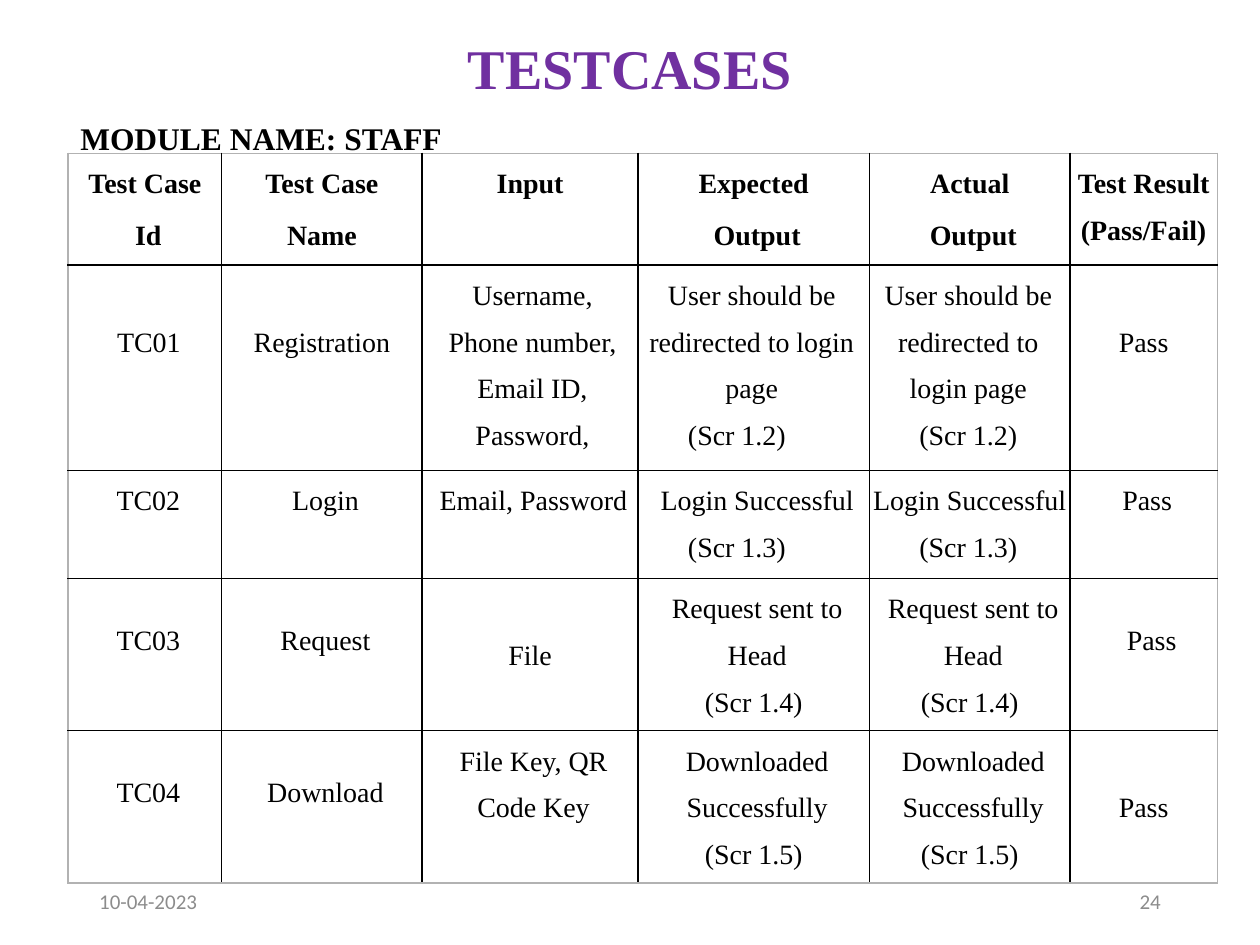
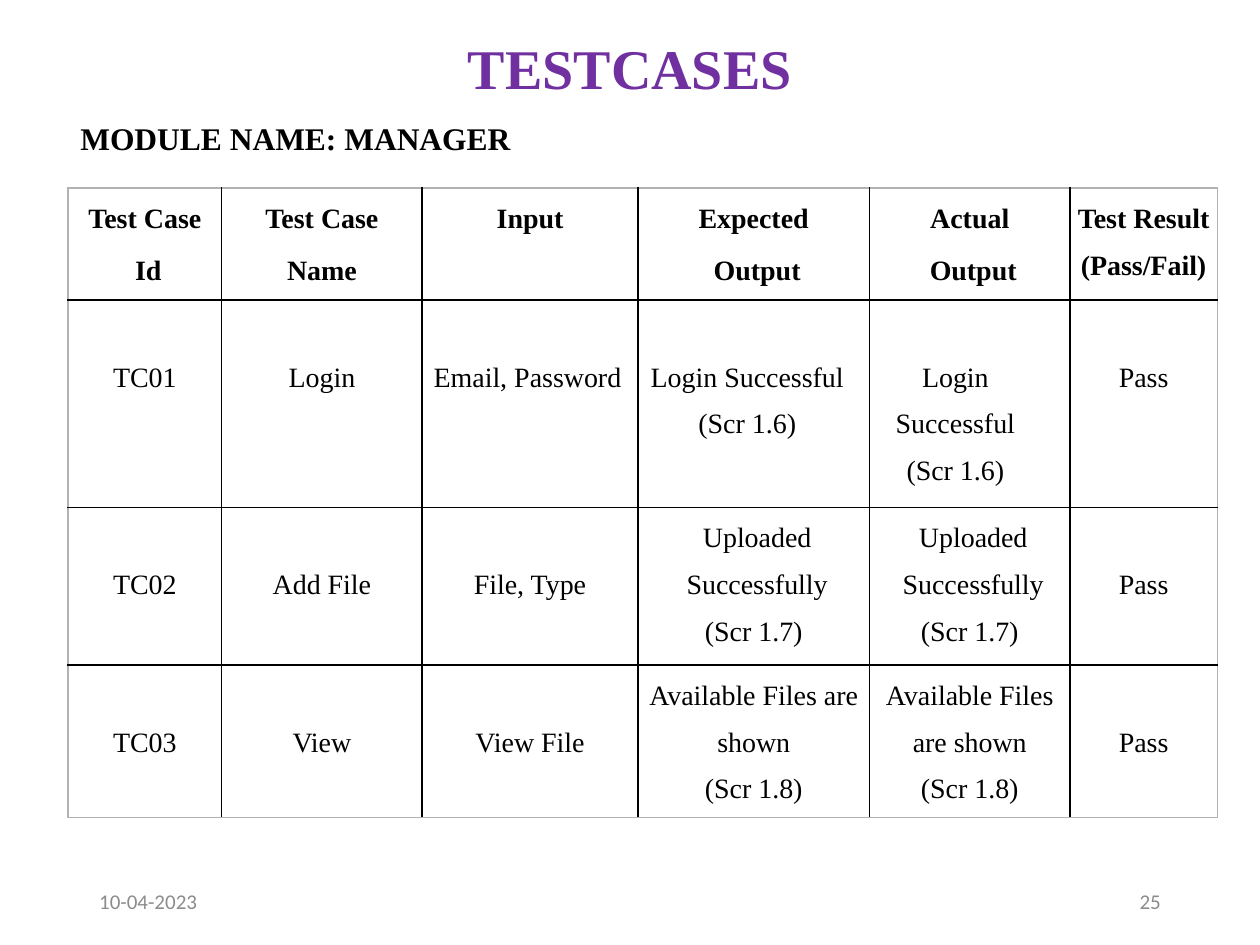
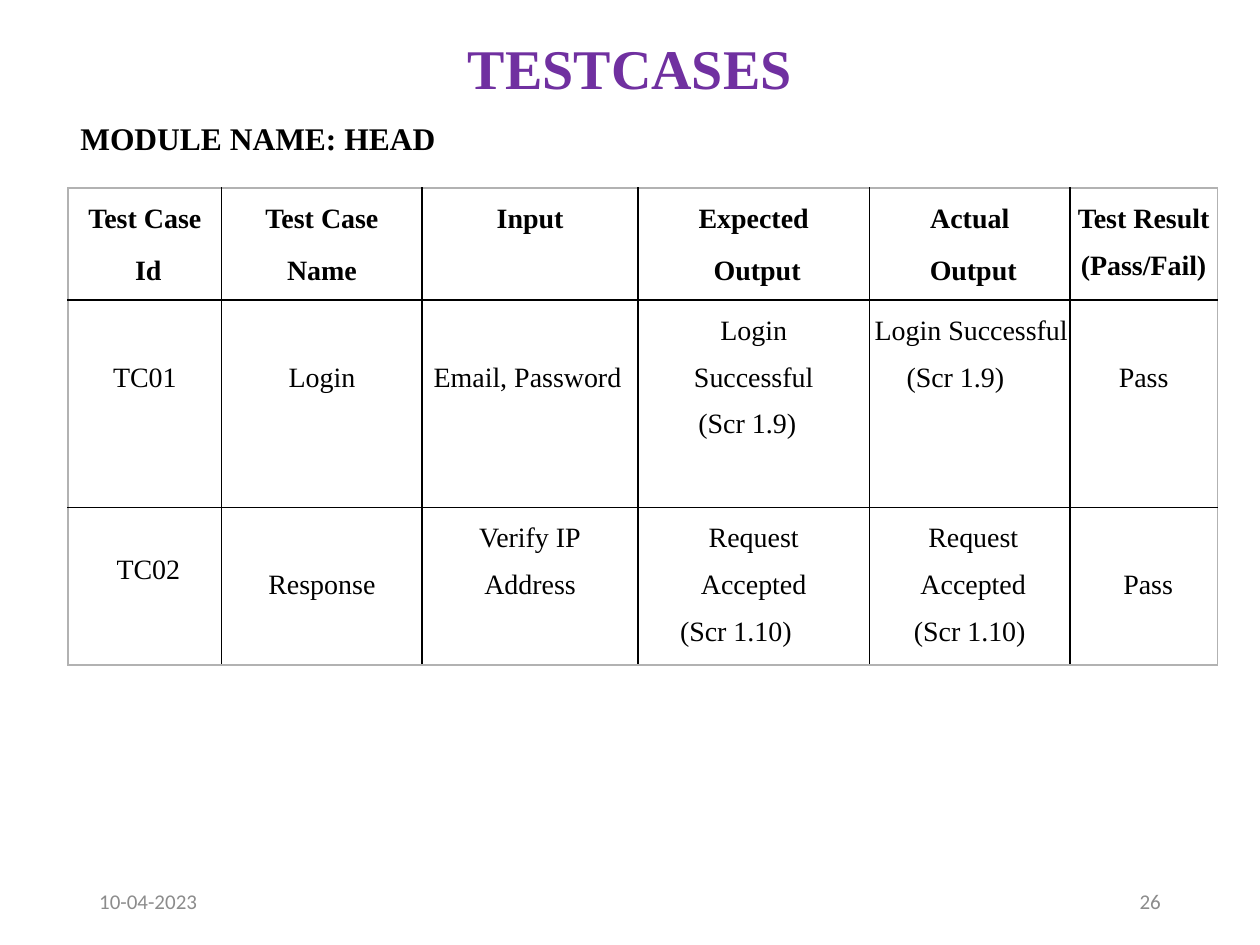
from typing import NamedTuple

from lxml import etree
from pptx import Presentation
from pptx import util as u
from pptx.dml.color import RGBColor
from pptx.enum import text
from pptx.oxml.ns import qn

SERIF, SANS = "Times New Roman", "Calibri"
PURPLE, BLACK, GREY, EDGE = "7030A0", "000000", "8C8C8C", "B2B2B2"
LEFT, CENTER, RIGHT = text.PP_ALIGN.LEFT, text.PP_ALIGN.CENTER, text.PP_ALIGN.RIGHT
COLUMNS = (3.1, 4.04, 4.35, 4.67, 4.04, 2.97)
NUDGE = 0.14
LINE_GAP, SMALL_GAP = 0.94, 0.63


class Line(NamedTuple):
    """A paragraph, moved right by a left indent or left by a right indent (cm)."""
    text: str
    shift: float = 0


class Cell(NamedTuple):
    """Paragraphs of a table cell below a top gap (cm)."""
    lines: tuple[Line, ...]
    gap: float = 0


class Row(NamedTuple):
    """A table row with its height (cm)."""
    height: float
    cells: tuple[Cell, ...]


class Module(NamedTuple):
    """One slide: module name, slide number, table top (cm) and rows."""
    name: str
    number: int
    top: float
    header_height: float
    rows: tuple[Row, ...]


def cell(*lines: str | Line, gap: float = 0) -> Cell:
    """Make a cell from plain or shifted lines."""
    return Cell(tuple(Line(x) if isinstance(x, str) else x for x in lines), gap)


def low(*lines: str | Line) -> Cell:
    """Make a cell whose text starts one line down."""
    return cell(*lines, gap=LINE_GAP)


def nudged(label: str, gap: float = 0) -> Cell:
    """Make a one-line cell set slightly to the right."""
    return cell(Line(label, NUDGE), gap=gap)


def outcome(result: str, screen: str) -> Cell:
    """Make a cell with a nudged result and its screen reference."""
    return cell(Line(result, NUDGE), screen)


HEADER = (
    cell("Test Case", Line("Id", NUDGE)), cell("Test Case", "Name"), cell("Input"),
    cell("Expected", Line("Output", NUDGE)), cell("Actual", Line("Output", NUDGE)),
    cell("Test Result (Pass/Fail)"),
)
REDIRECTED = "User should be redirected to login page"
REQUEST_SENT = outcome("Request sent to Head", "(Scr 1.4)")
DOWNLOADED = outcome("Downloaded Successfully", "(Scr 1.5)")
UPLOADED = outcome("Uploaded Successfully", "(Scr 1.7)")
AVAILABLE = cell("Available Files are shown", "(Scr 1.8)")
LOGIN_START = (low("TC01"), low("Login"), low(Line("Email, Password", -0.1)))

MODULES = (
    Module("STAFF", 24, 3.09, 2.25, (
        Row(4.14, (
            low(Line("TC01", 0.16)), low("Registration"),
            cell(Line("Username,", 0.1), Line("Phone number, Email ID, Password,", 0.1)),
            cell(Line(REDIRECTED, -0.08), Line("(Scr 1.2)", -0.68)),
            cell(Line(REDIRECTED, -0.06), Line("(Scr 1.2)", -0.06)), low("Pass"))),
        Row(2.18, (
            nudged("TC02"), nudged("Login"), nudged("Email, Password"),
            cell(Line("Login Successful", NUDGE), Line("(Scr 1.3)", -0.68)),
            cell("Login Successful", Line("(Scr 1.3)", -0.06)), nudged("Pass"))),
        Row(3.07, (
            nudged("TC03", SMALL_GAP), nudged("Request", SMALL_GAP), low("File"),
            REQUEST_SENT, REQUEST_SENT, cell(Line("Pass", 0.32), gap=SMALL_GAP))),
        Row(3.07, (
            nudged("TC04", SMALL_GAP), nudged("Download", SMALL_GAP),
            nudged("File Key, QR\vCode Key"), DOWNLOADED, DOWNLOADED, low("Pass"))),
    )),
    Module("MANAGER", 25, 3.79, 2.26, (
        Row(4.18, LOGIN_START + (
            low(Line("Login Successful", -0.26), Line("(Scr 1.6)", -0.26)),
            low(Line("Login Successful", -0.58), Line("(Scr 1.6)", -0.58)), low("Pass"))),
        Row(3.18, (low("TC02"), low("Add File"), low("File, Type"),
                   UPLOADED, UPLOADED, low("Pass"))),
        Row(3.07, (low("TC03"), low("View"), low("View File"),
                   AVAILABLE, AVAILABLE, low("Pass"))),
    )),
    Module("HEAD", 26, 3.79, 2.26, (
        Row(4.18, LOGIN_START + (
            cell("Login", "Successful", Line("(Scr 1.9)", -0.26)),
            cell(Line("Login Successful", 0.06), Line("(Scr 1.9)", -0.58)), low("Pass"))),
        Row(3.18, (
            nudged("TC02", SMALL_GAP), low("Response"), cell("Verify IP", "Address"),
            cell("Request", "Accepted", Line("(Scr 1.10)", -0.72)),
            cell(Line("Request Accepted", NUDGE), "(Scr 1.10)"),
            low(Line("Pass", 0.18)))),
    )),
)


def style(p, size: float, color: str, font: str = SERIF, bold: bool = False,
          align=LEFT, spacing: float = 1.0) -> None:
    """Format a whole paragraph."""
    p.alignment, p.line_spacing = align, spacing
    p.font.name, p.font.size, p.font.bold = font, u.Pt(size), bold
    p.font.color.rgb = RGBColor.from_string(color)


def place(sp, left: float, top: float, width: float, height: float) -> None:
    """Position a shape in centimetres."""
    sp.left, sp.top, sp.width, sp.height = map(u.Cm, (left, top, width, height))


def add_label(s, label: str, box: tuple[float, ...], anchor, **look) -> None:
    """Add a one-paragraph text box."""
    tf = s.shapes.add_textbox(*map(u.Cm, box)).text_frame
    tf.word_wrap, tf.vertical_anchor = True, anchor
    p = tf.paragraphs[0]
    p.text = label
    style(p, **look)


def set_borders(c, colors: dict[str, str]) -> None:
    """Draw one-point borders on the sides of a cell."""
    tc_pr = c._tc.get_or_add_tcPr()
    for side, color in colors.items():
        ln = etree.SubElement(tc_pr, qn(f"a:ln{side}"), w=str(u.Pt(1)))
        fill = etree.SubElement(ln, qn("a:solidFill"))
        etree.SubElement(fill, qn("a:srgbClr"), val=color)


def fill_cell(c, content: Cell, is_header: bool) -> None:
    """Write the paragraphs of a table cell."""
    c.fill.background()
    c.margin_left = c.margin_right = u.Cm(0.14 if is_header else 0)
    c.margin_top, c.margin_bottom = u.Cm(content.gap), 0
    tf = c.text_frame
    for i, line in enumerate(content.lines):
        p = tf.add_paragraph() if i else tf.paragraphs[0]
        p.text = line.text
        style(p, 16, BLACK, bold=is_header, align=CENTER, spacing=1.5)
        if is_header and i:
            p.space_before = u.Pt(2.9)
        if line.shift:
            side = "marL" if line.shift > 0 else "marR"
            p._p.get_or_add_pPr().set(side, str(u.Cm(abs(line.shift))))


def add_test_table(s, module: Module) -> None:
    """Add the table of test cases."""
    rows = (Row(module.header_height, HEADER), *module.rows)
    last_row, last_col = len(rows) - 1, len(COLUMNS) - 1
    height = sum(row.height for row in rows)
    table = s.shapes.add_table(len(rows), len(COLUMNS), u.Cm(1.37), u.Cm(module.top),
                               u.Cm(sum(COLUMNS)), u.Cm(height)).table
    table.first_row = table.horz_banding = False
    for column, width in zip(table.columns, COLUMNS):
        column.width = u.Cm(width)
    for i, row in enumerate(rows):
        table.rows[i].height = u.Cm(row.height)
        for j, content in enumerate(row.cells):
            c = table.cell(i, j)
            outer = {"L": j == 0, "R": j == last_col, "T": i == 0, "B": i == last_row}
            set_borders(c, {side: EDGE if out else BLACK for side, out in outer.items()})
            fill_cell(c, content, is_header=i == 0)


def add_module_slide(prs, module: Module) -> None:
    """Build the slide of one module."""
    s = prs.slides.add_slide(prs.slide_layouts[5])
    middle, top = text.MSO_ANCHOR.MIDDLE, text.MSO_ANCHOR.TOP
    add_label(s, "10-04-2023", (1.75, 17.65, 5.72, 1.02), middle,
              size=12, color=GREY, font=SANS)
    add_label(s, str(module.number), (17.93, 17.65, 5.72, 1.02), middle,
              size=12, color=GREY, font=SANS, align=RIGHT)
    title = s.shapes.title
    place(title, 1.75, 0.71, 21.9, 1.47)
    tf = title.text_frame
    tf.text, tf.auto_size, tf.vertical_anchor = "TESTCASES", text.MSO_AUTO_SIZE.NONE, middle
    style(tf.paragraphs[0], 32, PURPLE, bold=True, align=CENTER, spacing=0.9)
    add_label(s, f"MODULE NAME: {module.name}", (1.37, 1.9, 17.3, 1.42), top,
              size=18, color=BLACK, bold=True, spacing=1.5)
    add_test_table(s, module)


def main() -> None:
    """Build and save the presentation."""
    prs = Presentation()
    prs.slide_width, prs.slide_height = u.Cm(25.4), u.Cm(19.05)
    for module in MODULES:
        add_module_slide(prs, module)
    prs.save("out.pptx")


if __name__ == "__main__":
    main()
